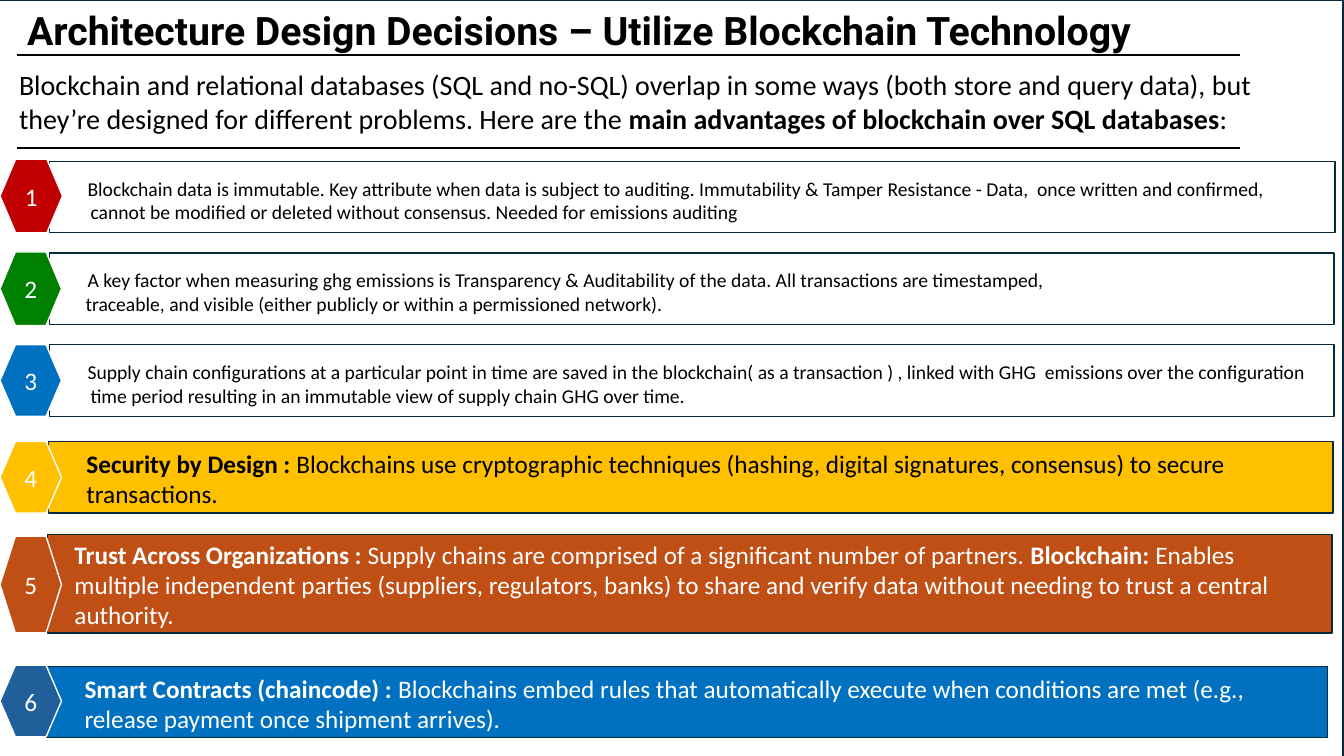
from lxml import etree
from pptx import Presentation
from pptx import util as u
from pptx.dml.color import RGBColor
from pptx.enum import shapes, text
from pptx.oxml.ns import qn

WIDE, HIGH = u.Inches(13.33), u.Inches(7.5)
COLS, ROWS = 1333, 750
HUES = {
    "black": "000000", "white": "FFFFFF", "edge": "092A39", "red": "C00000",
    "green": "008000", "blue": "0070C0", "gold": "FFC000", "rust": "C04F15",
    "navy": "215F9A",
}
INTRO = (
    "Blockchain and relational databases (SQL and no-SQL) overlap in some ways "
    "(both store and query data), but they’re designed for different problems. "
    "Here are the *main advantages of blockchain over SQL databases*:"
)
BANDS = [
    dict(bar=(49, 160, 1275, 71), tag=(158, 62, 73), hue="red", lines=[
        (28, "Blockchain data is immutable. Key attribute when data is subject to auditing. "
             "Immutability & Tamper Resistance - Data,  once written and confirmed,"),
        (31, "cannot be modified or deleted without consensus. Needed for emissions auditing")]),
    dict(bar=(49, 251, 1274, 71), tag=(250, 61, 73), hue="green", lines=[
        (28, "A key factor when measuring ghg emissions is Transparency & Auditability of the data. "
             "All transactions are timestamped,"),
        (26, "traceable, and visible (either publicly or within a permissioned network).")]),
    dict(bar=(49, 342, 1274, 71), tag=(342, 61, 71), hue="blue", lines=[
        (28, "Supply chain configurations at a particular point in time are saved in the blockchain"
             "( as a transaction ) , linked with GHG  emissions over the configuration"),
        (31, "time period resulting in an immutable view of supply chain GHG over time.")]),
    dict(bar=(48, 438, 1274, 71), tag=(438, 61, 71), hue="gold", fill="gold", size=18, lines=[
        (28, "*Security by Design : *Blockchains use cryptographic techniques "
             "(hashing, digital signatures, consensus) to secure"),
        (28, "transactions.")]),
    dict(bar=(47, 530, 1274, 98), tag=(532, 61, 96), hue="rust", fill="rust",
         ink="white", size=18, lines=[
        (17, "*Trust Across Organizations : *Supply chains are comprised of a significant number "
             "of partners. *Blockchain:* Enables"),
        (17, "multiple independent parties (suppliers, regulators, banks) to share and verify data "
             "without needing to trust a central"),
        (17, "authority.")]),
    dict(bar=(46, 661, 1271, 71), tag=(660, 61, 71), hue="navy", fill="blue",
         ink="white", size=18, lines=[
        (28, "*Smart Contracts (chaincode) : *Blockchains embed rules that automatically execute "
             "when conditions are met (e.g.,"),
        (28, "release payment once shipment arrives).")]),
]


def col(n):
    return round(WIDE * n / COLS)


def row(n):
    return round(HIGH * n / ROWS)


def place(x, y, w, h):
    return col(x), row(y), col(w), row(h)


def tint(name):
    return RGBColor.from_string(HUES[name])


def write(par, words, size, ink, face="Calibri"):
    for n, part in enumerate(words.split("*")):
        if part:
            run = par.add_run()
            run.text = part
            if n % 2:
                run.font.bold = True
    par.font.size = u.Pt(size)
    par.font.name = face
    par.font.color.rgb = tint(ink)


def label(slide, spot, words, size, face="Calibri"):
    frame = slide.shapes.add_textbox(*place(*spot)).text_frame
    frame.word_wrap = True
    frame.auto_size = text.MSO_AUTO_SIZE.SHAPE_TO_FIT_TEXT
    write(frame.paragraphs[0], words, size, "black", face)


def block(slide, kind, spot, fill=None, edge="edge"):
    form = slide.shapes.add_shape(kind, *place(*spot))
    form.shadow.inherit = False
    if fill:
        form.fill.solid()
        form.fill.fore_color.rgb = tint(fill)
    else:
        form.fill.background()
    form.line.color.rgb = tint(edge)
    form.line.width = u.Pt(1)
    return form


def rule(slide, y):
    line = slide.shapes.add_connector(
        shapes.MSO_CONNECTOR.STRAIGHT, col(17), row(y), col(1230), row(y))
    line.line.color.rgb = tint("black")
    line.line.width = u.Pt(1.5)
    etree.SubElement(line._element.spPr, qn("a:effectLst"))


def band(slide, num, bar, tag, hue, lines, fill=None, ink="black", size=14):
    frame = block(slide, shapes.MSO_SHAPE.RECTANGLE, bar, fill).text_frame
    frame.word_wrap = True
    frame.vertical_anchor = text.MSO_ANCHOR.MIDDLE
    frame.margin_top = row(11 if size == 14 else 7)
    for n, (inset, words) in enumerate(lines):
        par = frame.add_paragraph() if n else frame.paragraphs[0]
        par.alignment = text.PP_ALIGN.LEFT
        par._p.get_or_add_pPr().set("marL", str(col(inset)))
        write(par, words, size, ink)

    top, wide, high = tag
    frame = block(slide, shapes.MSO_SHAPE.HEXAGON, (0, top, wide, high), hue, "white").text_frame
    frame.margin_left = frame.margin_right = 0
    frame.vertical_anchor = text.MSO_ANCHOR.MIDDLE
    par = frame.paragraphs[0]
    par.alignment = text.PP_ALIGN.CENTER
    write(par, str(num), 18, "white")


def main():
    deck = Presentation()
    deck.slide_width, deck.slide_height = WIDE, HIGH
    slide = deck.slides.add_slide(deck.slide_layouts[6])
    block(slide, shapes.MSO_SHAPE.RECTANGLE, (-1, 0, 1333, 767))
    label(slide, (9, 62, 1288, 77), INTRO, 20)
    label(slide, (17, 1, 1288, 57),
          "*Architecture Design Decisions – Utilize Blockchain Technology*", 28, "Roboto")
    for y in (55, 147):
        rule(slide, y)
    for num, item in enumerate(BANDS, 1):
        band(slide, num, **item)
    deck.save("out.pptx")


if __name__ == "__main__":
    main()
